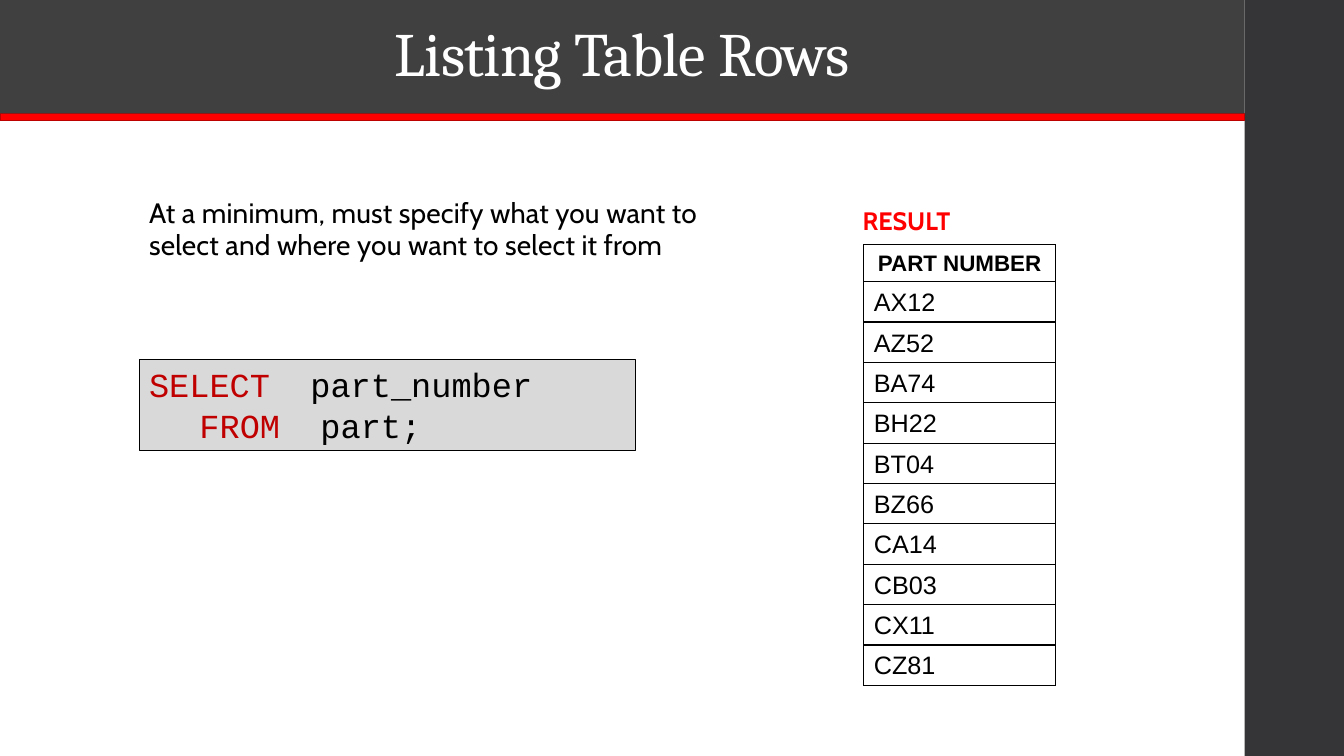
"""Build the slide on listing table rows with SQL."""
from lxml.etree import SubElement as Sub
from pptx import Presentation as Deck
from pptx.dml.color import RGBColor as Rgb
from pptx.enum.shapes import MSO_SHAPE as Kind
from pptx.enum.text import MSO_ANCHOR as Anchor, PP_ALIGN as Align
from pptx.oxml.ns import qn
from pptx.util import Pt

HUES = {
    "black": "000000", "white": "FFFFFF", "red": "FF0000", "edge": "BD0000",
    "key": "C00000", "head": "404040", "side": "353537", "code": "D9D9D9",
}
PARTS = ["AX12", "AZ52", "BA74", "BH22", "BT04",
         "BZ66", "CA14", "CB03", "CX11", "CZ81"]


def hue(name):
    return Rgb.from_string(HUES[name])


def write(para, text, face="Arial", size=18, color="black", bold=False, track=0):
    run = para.add_run()
    run.text = text
    font = run.font
    font.name, font.size, font.bold = face, Pt(size), bold
    font.color.rgb = hue(color)
    if track:
        run._r.get_or_add_rPr().set("spc", str(track))


class Page:
    def __init__(self, deck):
        self.slide = deck.slides.add_slide(deck.slide_layouts[6])
        self.shapes = self.slide.shapes
        self.sans, self.serif, self.mono = "Cabin", "Cambria", "Courier New"

    def rect(self, x, y, w, h, fill, line=None, width=0.75):
        box = self.shapes.add_shape(Kind.RECTANGLE, Pt(x), Pt(y), Pt(w), Pt(h))
        box.shadow.inherit = False
        box.fill.solid()
        box.fill.fore_color.rgb = hue(fill)
        if line:
            box.line.color.rgb = hue(line)
            box.line.width = Pt(width)
        else:
            box.line.fill.background()
        return box

    def title(self, box, text):
        frame = box.text_frame
        frame.word_wrap = True
        frame.vertical_anchor = Anchor.MIDDLE
        para = frame.paragraphs[0]
        para.alignment, para.line_spacing = Align.CENTER, 0.9
        write(para, text, face=self.serif, size=44, color="white", track=-50)

    def label(self, x, y, w, h, text, space=1.0, **form):
        frame = self.shapes.add_textbox(Pt(x), Pt(y), Pt(w), Pt(h)).text_frame
        frame.word_wrap = True
        para = frame.paragraphs[0]
        para.line_spacing = space
        write(para, text, face=self.sans, **form)

    def code(self, x, y, w, h, lines, tab=36):
        frame = self.rect(x, y, w, h, "code", "black").text_frame
        frame.word_wrap = True
        frame.vertical_anchor = Anchor.TOP
        for row, (key, rest) in enumerate(lines):
            para = frame.add_paragraph() if row else frame.paragraphs[0]
            para.alignment = Align.LEFT
            stops = Sub(para._p.get_or_add_pPr(), qn("a:tabLst"))
            Sub(stops, qn("a:tab"), pos=str(Pt(tab)), algn="l")
            write(para, key, face=self.mono, size=24, color="key")
            write(para, rest, face=self.mono, size=24)

    def frame(self, cell):
        props = cell._tc.get_or_add_tcPr()
        for spot, side in enumerate("LRTB"):
            edge = props.makeelement(qn(f"a:ln{side}"), {"w": str(Pt(1))})
            props.insert(spot, edge)
            paint = Sub(edge, qn("a:solidFill"))
            Sub(paint, qn("a:srgbClr"), val=HUES["black"])

    def table(self, x, y, w, top, step, head, items):
        rows = [head, *items]
        high = top + step * len(items)
        grid = self.shapes.add_table(len(rows), 1, Pt(x), Pt(y), Pt(w), Pt(high)).table
        grid.columns[0].width = Pt(w)
        for row, text in enumerate(rows):
            first = row == 0
            grid.rows[row].height = Pt(top if first else step)
            cell = grid.cell(row, 0)
            cell.fill.background()
            cell.vertical_anchor = Anchor.BOTTOM
            self.frame(cell)
            para = cell.text_frame.paragraphs[0]
            para.alignment = Align.CENTER if first else Align.LEFT
            write(para, text, size=16 if first else 18, bold=first)


def main():
    deck = Deck()
    deck.slide_width, deck.slide_height = Pt(960), Pt(540)
    page = Page(deck)
    page.rect(889, 0, 71, 540, "side")
    page.rect(0, 81, 889, 5, "red", "edge", 1.1)
    page.title(page.rect(0, 0, 889, 81, "head"), "Listing Table Rows")
    page.label(99.4, 138.2, 455, 69,
               "At a minimum, must specify what you want to select "
               "and where you want to select it from",
               space=0.95, size=20, track=10)
    page.code(99.4, 256.5, 354.5, 65.5,
              [("SELECT  ", "part_number"), ("\tFROM", "  part;")])
    page.table(617, 174.8, 137, 26.3, 28.6, "PART NUMBER", PARTS)
    page.label(609, 143.3, 145, 29, "RESULT", color="red", bold=True)
    deck.save("out.pptx")


if __name__ == "__main__":
    main()
